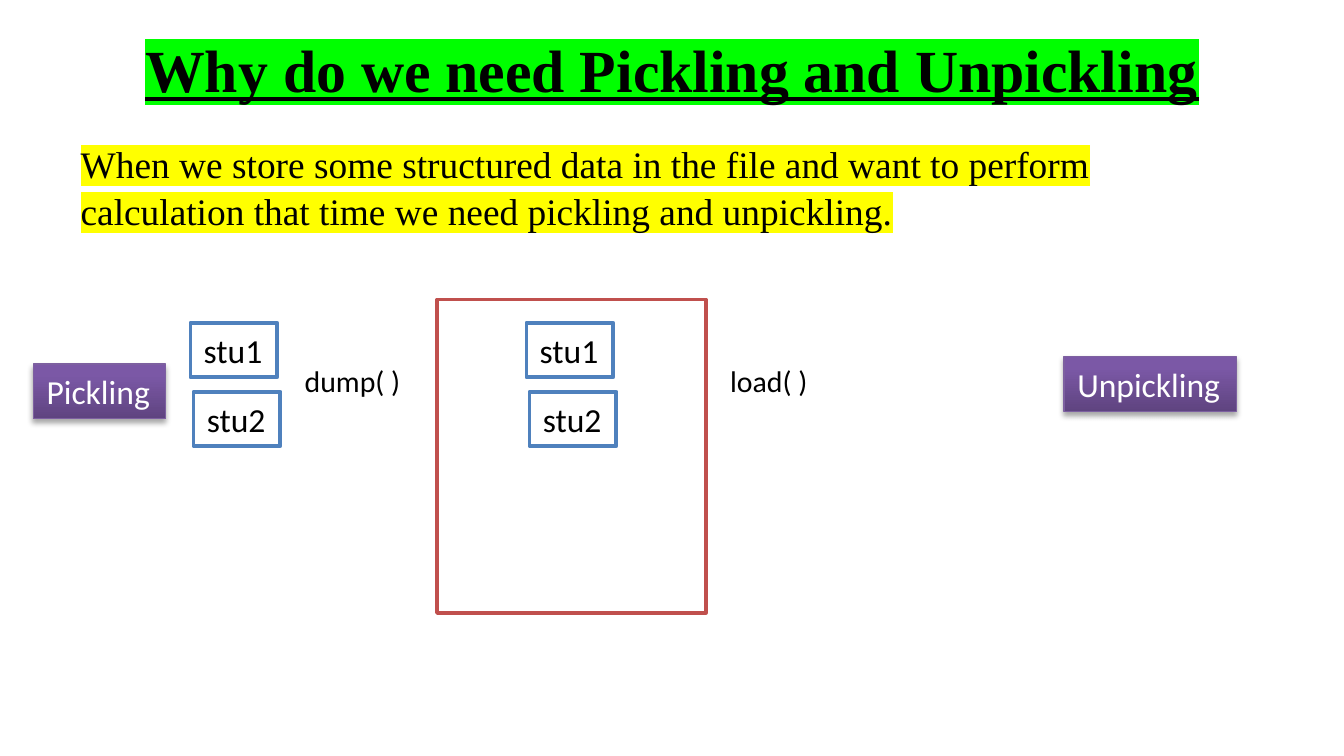
from copy import deepcopy

from lxml import etree
from pptx import Presentation
from pptx.dml.color import RGBColor
from pptx.enum import shapes, text
from pptx.oxml import ns
from pptx.util import Cm, Pt

colour = RGBColor.from_string


def write(frame, words, size=18, font="Calibri", color="000000", bold=False,
          underline=False, highlight=None, align=text.PP_ALIGN.LEFT,
          wrap=False, fit=text.MSO_AUTO_SIZE.SHAPE_TO_FIT_TEXT):
    frame.word_wrap = wrap
    frame.auto_size = fit
    paragraph = frame.paragraphs[0]
    paragraph.alignment = align
    run = paragraph.add_run()
    run.text = words
    run.font.size = Pt(size)
    run.font.name = font
    run.font.bold = bold
    run.font.underline = underline
    run.font.color.rgb = colour(color)
    if highlight:
        mark = etree.Element(ns.qn("a:highlight"))
        etree.SubElement(mark, ns.qn("a:srgbClr"), val=highlight)
        run.font.fill._xPr.find(ns.qn("a:solidFill")).addnext(mark)
    return paragraph


def add_box(left, top, width, height, line, weight=2):
    box = slide.shapes.add_shape(shapes.MSO_SHAPE.RECTANGLE, Cm(left), Cm(top),
                                 Cm(width), Cm(height))
    box.shadow.inherit = False
    box.fill.solid()
    box.fill.fore_color.rgb = colour("FFFFFF")
    box.line.color.rgb = colour(line)
    box.line.width = Pt(weight)
    return box


deck = Presentation()
deck.slide_width, deck.slide_height = Cm(25.4), Cm(14.28)
slide = deck.slides.add_slide(deck.slide_layouts[1])

# Heading
title = slide.shapes.title
title.left, title.top, title.width, title.height = Cm(1.27), Cm(0.1), Cm(22.86), Cm(2.39)
title.text_frame.vertical_anchor = text.MSO_ANCHOR.MIDDLE
write(title.text_frame, "Why do we need Pickling and Unpickling", size=32,
      font="Times New Roman", bold=True, underline=True, highlight="00FF00",
      align=text.PP_ALIGN.CENTER, wrap=True, fit=text.MSO_AUTO_SIZE.NONE)

# Explanation, without the template's bullet
reason = slide.placeholders[1]
reason.left, reason.top, reason.width, reason.height = Cm(1.27), Cm(2.49), Cm(22.86), Cm(2.74)
reason.text_frame.margin_right = Cm(0.6)
sentence = write(
    reason.text_frame,
    "When we store some structured data in the file and want to perform "
    "calculation that time we need pickling and unpickling.",
    size=20, font="Times New Roman", highlight="FFFF00", wrap=True,
    fit=text.MSO_AUTO_SIZE.NONE)
properties = sentence._p.get_or_add_pPr()
properties.set("marL", "0")
properties.set("indent", "0")
etree.SubElement(properties, ns.qn("a:buNone"))
sentence.space_before = Pt(0)
sentence.line_spacing = 1.05

# File
add_box(8.26, 5.66, 5.08, 5.92, "C0504D")

# Students before pickling and inside the file
for offset in (0, 6.35):
    for student, left, top in (("stu1", 3.6, 6.1), ("stu2", 3.66, 7.4)):
        record = add_box(left + offset, top, 1.64, 1.03, "4F81BD")
        write(record.text_frame, student)

# Function calls
for call, left, width in (("dump( )", 5.51, 2.33), ("load( )", 13.55, 1.97)):
    label = slide.shapes.add_textbox(Cm(left), Cm(6.73), Cm(width), Cm(0.94))
    write(label.text_frame, call, size=16)

# Process names with gradient and soft shadow
for process, left, top, width in (("Pickling", 0.63, 6.88, 2.5),
                                  ("Unpickling", 20.11, 6.74, 3.26)):
    badge = add_box(left, top, width, 1.03, "7D60A0", 0.75)
    write(badge.text_frame, process, color="FFFFFF")

    badge.fill.gradient()
    badge.fill.gradient_angle = 90
    stop_list = badge._element.spPr.find(ns.qn("a:gradFill")).find(ns.qn("a:gsLst"))
    stop_list.append(deepcopy(stop_list[-1]))
    for stop, position, shade in zip(badge.fill.gradient_stops, (0, 0.8, 1),
                                     ("5F4480", "7B58A6", "7C57A8")):
        stop.position = position
        stop.color.rgb = colour(shade)

    effects = badge._element.spPr.find(ns.qn("a:effectLst"))
    shadow = etree.SubElement(effects, ns.qn("a:outerShdw"), blurRad=str(Pt(3.1)),
                              dist=str(Pt(1.8)), dir="5400000", rotWithShape="0")
    black = etree.SubElement(shadow, ns.qn("a:srgbClr"), val="000000")
    etree.SubElement(black, ns.qn("a:alpha"), val="35000")

deck.save("out.pptx")
